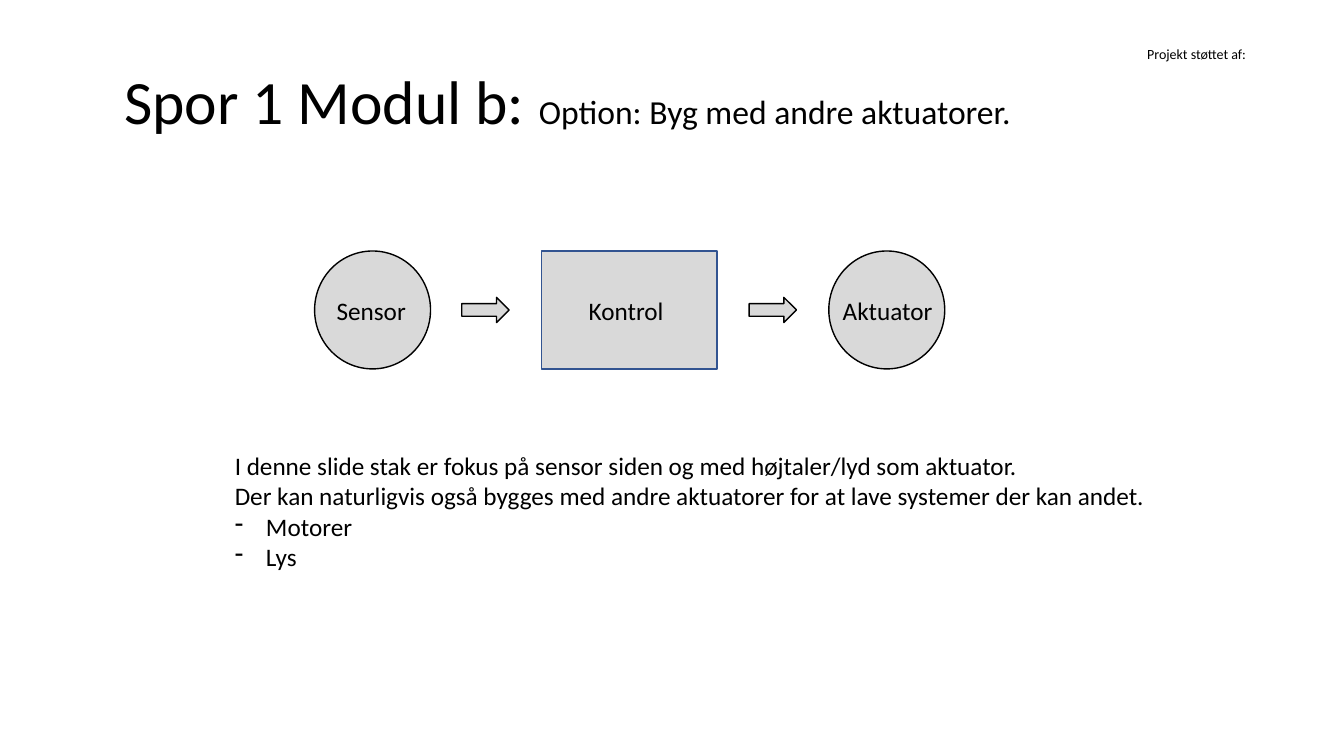
from pptx import Presentation
from pptx.dml.color import RGBColor
from pptx.enum.shapes import MSO_SHAPE
from pptx.enum.text import MSO_ANCHOR, PP_ALIGN
from pptx.oxml.ns import qn
from pptx.util import Inches, Pt
from lxml.etree import SubElement

FONT = "Calibri"
BLACK, GREY, BLUE = "000000", "D9D9D9", "325491"
MID = 3.075  # centre line of the flow
FLOW = [  # kind, left, width, height, line colour
    (MSO_SHAPE.OVAL, 3.12, 1.15, 1.17, BLACK),
    (MSO_SHAPE.RIGHT_ARROW, 4.58, 0.47, 0.25, BLACK),
    (MSO_SHAPE.RECTANGLE, 5.37, 1.74, 1.17, BLUE),
    (MSO_SHAPE.RIGHT_ARROW, 7.43, 0.47, 0.25, BLACK),
    (MSO_SHAPE.OVAL, 8.22, 1.15, 1.17, BLACK),
]
LABELS = [("Sensor", 3.24, 0.97), ("Kontrol", 5.74, 1.15), ("Aktuator", 8.26, 1.15)]
BODY = [  # text, bulleted
    ("I denne slide stak er fokus på sensor siden og med højtaler/lyd som aktuator.", False),
    ("Der kan naturligvis også bygges med andre aktuatorer for at lave systemer der kan andet.", False),
    ("Motorer", True),
    ("Lys", True),
]


def paint(form, color):
    form.rgb = RGBColor.from_string(color)


def style(font, size):
    for key, val in {"name": FONT, "size": Pt(size), "bold": False}.items():
        setattr(font, key, val)
    font.fill.solid()
    paint(font.fill.fore_color, BLACK)


def add_dash(para):
    props = para._p.get_or_add_pPr()
    props.set("marL", str(Inches(0.31)))
    props.set("indent", str(-Inches(0.31)))
    SubElement(props, qn("a:buChar")).set("char", "-")


def add_text(slide, box, lines, size):
    frame = slide.shapes.add_textbox(*map(Inches, box)).text_frame
    frame.word_wrap = True
    for i, (text, dash) in enumerate(lines):
        para = frame.add_paragraph() if i else frame.paragraphs[0]
        if dash:
            add_dash(para)
        run = para.add_run()
        run.text = text
        style(run.font, size)


def add_part(slide, kind, left, width, height, edge):
    box = (left, MID - height / 2, width, height)
    part = slide.shapes.add_shape(kind, *map(Inches, box))
    part.shadow.inherit = False
    part.fill.solid()
    paint(part.fill.fore_color, GREY)
    paint(part.line.color, edge)
    part.line.width = Pt(1)


def set_title(title, box, runs):
    for key, val in zip(("left", "top", "width", "height"), box):
        setattr(title, key, Inches(val))
    frame = title.text_frame
    form = {"word_wrap": True, "vertical_anchor": MSO_ANCHOR.TOP,
            "margin_top": Inches(0.09), "margin_bottom": 0}
    for key, val in form.items():
        setattr(frame, key, val)
    para = frame.paragraphs[0]
    para.alignment = PP_ALIGN.LEFT
    for text, size in runs:
        run = para.add_run()
        run.text = text
        style(run.font, size)


def main():
    deck = Presentation()
    deck.slide_width, deck.slide_height = Inches(13.33), Inches(7.5)
    slide = deck.slides.add_slide(deck.slide_layouts[5])
    set_title(slide.shapes.title, (1.13, 0.53, 9.71, 0.84),
              [("Spor 1 Modul b: ", 44), ("Option: Byg med andre aktuatorer.", 24)])
    for part in FLOW:
        add_part(slide, *part)
    for text, left, width in LABELS:
        add_text(slide, (left, 2.88, width, 0.39), [(text, False)], 18)
    add_text(slide, (2.23, 4.42, 9.31, 1.62), BODY, 18)
    add_text(slide, (11.28, 0.4, 1.37, 0.27), [("Projekt støttet af:", False)], 10)
    deck.save("out.pptx")


if __name__ == "__main__":
    main()
